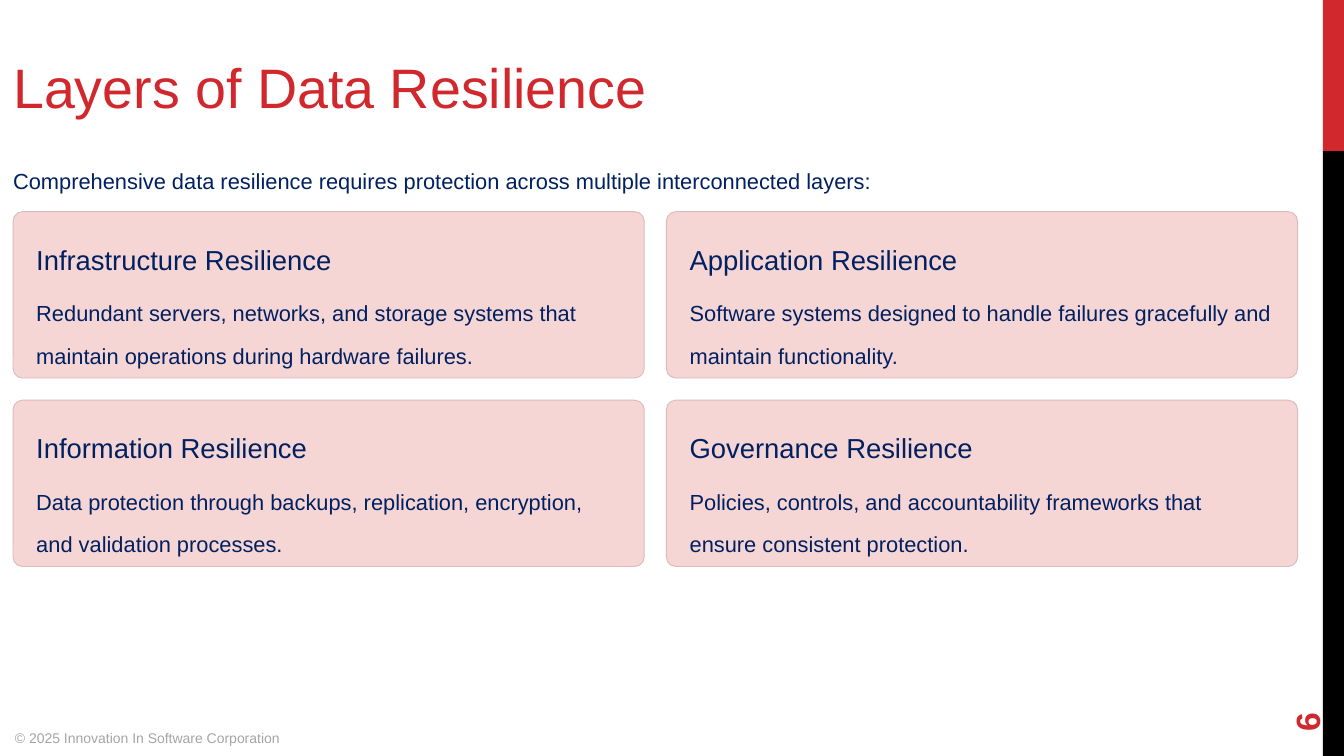
import dataclasses

import pptx
import pptx.dml.color
import pptx.enum.shapes
import pptx.enum.text
import pptx.util

Inches = pptx.util.Inches
Anchor = pptx.enum.text.MSO_ANCHOR
Shape = pptx.enum.shapes.MSO_SHAPE


@dataclasses.dataclass(frozen=True)
class Theme:
    font: str = "Arial"
    red: str = "D1282E"
    black: str = "000000"
    navy: str = "002060"
    gray: str = "A5A5A5"
    fill: str = "F6D5D5"
    edge: str = "DCBBBB"
    title: float = 39.7
    head: float = 19.6
    body: float = 15.6
    page: float = 24
    foot: float = 10


THEME = Theme()
WIDTH, HEIGHT = 13.33, 7.5
LEFT, TOP = 0.13, 2.1
CARD_W, CARD_H = 6.26, 1.65
GAP = 0.22
PAD = 0.23
BAR = 0.21
COLS = 2

CARDS = [
    ("Infrastructure Resilience",
     "Redundant servers, networks, and storage systems that maintain "
     "operations during hardware failures."),
    ("Application Resilience",
     "Software systems designed to handle failures gracefully and "
     "maintain functionality."),
    ("Information Resilience",
     "Data protection through backups, replication, encryption, "
     "and validation processes."),
    ("Governance Resilience",
     "Policies, controls, and accountability frameworks that "
     "ensure consistent protection."),
]


def color(code):
    return pptx.dml.color.RGBColor.from_string(code)


def put(shape, box):
    shape.left, shape.top, shape.width, shape.height = map(Inches, box)


def write(shape, text, size, ink=THEME.navy, bold=False, spacing=1.0,
          inset=(0, 0), anchor=Anchor.TOP):
    frame = shape.text_frame
    frame.text = text
    frame.word_wrap = True
    frame.auto_size = pptx.enum.text.MSO_AUTO_SIZE.NONE
    frame.vertical_anchor = anchor
    frame.margin_left = frame.margin_right = Inches(inset[0])
    frame.margin_top = frame.margin_bottom = Inches(inset[1])
    para = frame.paragraphs[0]
    para.alignment = pptx.enum.text.PP_ALIGN.LEFT
    para.line_spacing = spacing
    font = para.runs[0].font
    font.name, font.size, font.bold = THEME.font, pptx.util.Pt(size), bold
    font.color.rgb = color(ink)


def label(slide, box, text, size, **style):
    shape = slide.shapes.add_textbox(*map(Inches, box))
    write(shape, text, size, **style)
    return shape


def block(slide, kind, box, fill, edge=None):
    shape = slide.shapes.add_shape(kind, *map(Inches, box))
    shape.shadow.inherit = False
    shape.fill.solid()
    shape.fill.fore_color.rgb = color(fill)
    if edge:
        shape.line.color.rgb = color(edge)
        shape.line.width = pptx.util.Pt(0.67)
    else:
        shape.line.fill.background()
    return shape


def card(slide, index, head, body):
    row, col = divmod(index, COLS)
    left = LEFT + col * (CARD_W + GAP)
    top = TOP + row * (CARD_H + GAP)
    panel = block(slide, Shape.ROUNDED_RECTANGLE,
                  (left, top, CARD_W, CARD_H), THEME.fill, THEME.edge)
    panel.adjustments[0] = 0.057
    inner = CARD_W - 2 * PAD
    label(slide, (left + PAD, top + PAD, inner, 0.35), head, THEME.head,
          spacing=1.25)
    label(slide, (left + PAD, top + 0.71, inner, 0.71), body, THEME.body,
          spacing=1.63)


def frame(slide):
    """Draw the side bar, copyright line and page number."""
    side, split = WIDTH - BAR, HEIGHT / 5
    block(slide, Shape.RECTANGLE, (side, 0, BAR, split), THEME.red)
    block(slide, Shape.RECTANGLE, (side, split, BAR, HEIGHT - split),
          THEME.black)
    label(slide, (0.05, 7.19, 5, 0.31),
          "© 2025 Innovation In Software Corporation", THEME.foot,
          ink=THEME.gray, inset=(0.1, 0.05))
    page = label(slide, (12.24, 6.37, 1.44, 0.53), "6", THEME.page,
                 ink=THEME.red, bold=True, inset=(0.1, 0.05),
                 anchor=Anchor.MIDDLE)
    page.rotation = 270


def main():
    deck = pptx.Presentation()
    deck.slide_width, deck.slide_height = Inches(WIDTH), Inches(HEIGHT)
    slide = deck.slides.add_slide(deck.slide_layouts.get_by_name("Title Only"))
    frame(slide)
    title = slide.shapes.title
    put(title, (LEFT, 0.36, 7.84, 0.69))
    write(title, "Layers of Data Resilience", THEME.title, ink=THEME.red,
          spacing=1.25)
    label(slide, (LEFT, HEIGHT / 5, COLS * CARD_W + GAP, 0.35),
          "Comprehensive data resilience requires protection across "
          "multiple interconnected layers:", THEME.body, spacing=1.63)
    for index, (head, body) in enumerate(CARDS):
        card(slide, index, head, body)
    deck.save("out.pptx")


if __name__ == "__main__":
    main()
